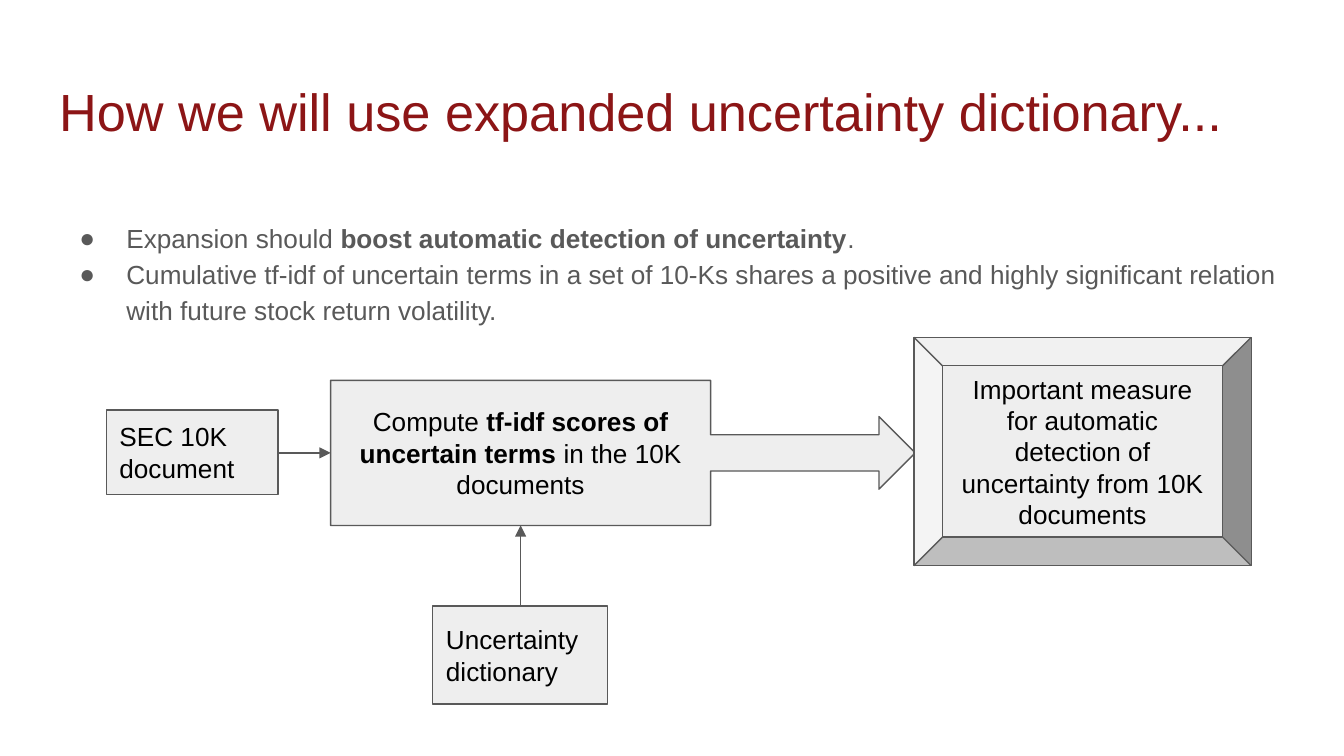
from lxml.etree import SubElement
from pptx import Presentation
from pptx.dml.color import RGBColor
from pptx.enum.shapes import MSO_CONNECTOR, MSO_SHAPE
from pptx.enum.text import MSO_ANCHOR, MSO_AUTO_SIZE, PP_ALIGN
from pptx.oxml.ns import qn
from pptx.util import Inches, Pt

RED = RGBColor(0x8C, 0x15, 0x16)
GRAY = RGBColor(0x59, 0x59, 0x59)
LIGHT = RGBColor(0xEE, 0xEE, 0xEE)
BLACK = RGBColor(0, 0, 0)
FONT = "Arial"

# Content: each paragraph is a list of (text, bold) runs
TITLE = [("How we will use expanded uncertainty dictionary...", False)]
BULLETS = [
    [("Expansion should ", False),
     ("boost automatic detection of uncertainty", True),
     (".", False)],
    [("Cumulative tf-idf of uncertain terms in a set of 10-Ks shares a positive "
      "and highly significant relation with future stock return volatility.", False)],
]

# Diagram: preset, (left, top, width, height), adjustments, alignment, runs
BOX_SHARE = 0.65  # part of the callout that is box rather than arrow
SOURCE = (0.79, 3.05, 1.28, 0.63)
DICTIONARY = (3.22, 4.51, 1.3, 0.73)
COMPUTE = (2.46, 2.83, 4.35, 1.08)
MEASURE = (6.8, 2.51, 2.51, 1.7)
STEPS = [
    (MSO_SHAPE.RECTANGLE, SOURCE, [], PP_ALIGN.LEFT,
     [("SEC 10K document", False)]),
    (MSO_SHAPE.RECTANGLE, DICTIONARY, [], PP_ALIGN.LEFT,
     [("Uncertainty dictionary", False)]),
    (MSO_SHAPE.RIGHT_ARROW_CALLOUT, COMPUTE, [0.25, 0.25, 0.25, BOX_SHARE],
     PP_ALIGN.CENTER,
     [("Compute ", False), ("tf-idf scores of uncertain terms", True),
      (" in the 10K documents", False)]),
    (MSO_SHAPE.BEVEL, MEASURE, [0.125], PP_ALIGN.CENTER,
     [("Important measure for automatic detection of uncertainty "
       "from 10K documents", False)]),
]


def place(shape, left, top, width, height):
    shape.left, shape.top = Inches(left), Inches(top)
    shape.width, shape.height = Inches(width), Inches(height)


def prepare_frame(frame, anchor):
    frame.word_wrap = True
    frame.auto_size = MSO_AUTO_SIZE.NONE
    frame.vertical_anchor = anchor
    frame.margin_left = frame.margin_right = Inches(0.1)
    frame.margin_top = frame.margin_bottom = Inches(0.1)


def add_runs(paragraph, runs, size, color, alignment=PP_ALIGN.LEFT):
    paragraph.alignment = alignment
    for text, bold in runs:
        run = paragraph.add_run()
        run.text = text
        run.font.name = FONT
        run.font.size = Pt(size)
        run.font.bold = bold
        run.font.color.rgb = color


def add_bullet(paragraph):
    properties = paragraph._p.get_or_add_pPr()
    properties.set("marL", str(Inches(0.5)))
    properties.set("indent", str(Inches(-0.35)))
    color = SubElement(properties, qn("a:buClr"))
    SubElement(color, qn("a:srgbClr"), val=str(GRAY))
    SubElement(properties, qn("a:buFont"), typeface=FONT)
    SubElement(properties, qn("a:buChar"), char="●")


def add_step(slide, preset, box, adjustments, alignment, runs):
    shape = slide.shapes.add_shape(preset, *map(Inches, box))
    for index, value in enumerate(adjustments):
        shape.adjustments[index] = value
    shape.shadow.inherit = False
    shape.fill.solid()
    shape.fill.fore_color.rgb = LIGHT
    shape.line.color.rgb = GRAY
    shape.line.width = Pt(0.75)
    prepare_frame(shape.text_frame, MSO_ANCHOR.MIDDLE)
    add_runs(shape.text_frame.paragraphs[0], runs, 14, BLACK, alignment)


def add_arrow(slide, start, end):
    connector = slide.shapes.add_connector(
        MSO_CONNECTOR.STRAIGHT, *map(Inches, start + end))
    connector.line.color.rgb = GRAY
    connector.line.width = Pt(0.75)
    SubElement(connector.line._get_or_add_ln(), qn("a:tailEnd"), type="triangle")
    SubElement(connector._element.spPr, qn("a:effectLst"))


def main():
    presentation = Presentation()
    presentation.slide_width = Inches(10)
    presentation.slide_height = Inches(10 * 9 / 16)  # widescreen
    slide = presentation.slides.add_slide(presentation.slide_layouts[1])
    title, body = slide.placeholders

    # Title
    place(title, 0.34, 0.49, 9.32, 0.63)
    prepare_frame(title.text_frame, MSO_ANCHOR.TOP)
    add_runs(title.text_frame.paragraphs[0], TITLE, 28, RED)

    # Bullet list
    place(body, 0.34, 1.52, 9.32, 3.47)
    frame = body.text_frame
    prepare_frame(frame, MSO_ANCHOR.TOP)
    for index, runs in enumerate(BULLETS):
        paragraph = frame.add_paragraph() if index else frame.paragraphs[0]
        paragraph.line_spacing = 1.15
        paragraph.space_before = Pt(0)
        add_bullet(paragraph)
        add_runs(paragraph, runs, 14, GRAY)

    # Diagram steps
    for step in STEPS:
        add_step(slide, *step)

    # Arrows into the compute box
    left, top, width, height = COMPUTE
    middle_x = left + width * BOX_SHARE / 2
    middle_y = top + height / 2
    add_arrow(slide, (SOURCE[0] + SOURCE[2], middle_y), (left, middle_y))
    add_arrow(slide, (middle_x, DICTIONARY[1]), (middle_x, top + height))

    presentation.save("out.pptx")


if __name__ == "__main__":
    main()
